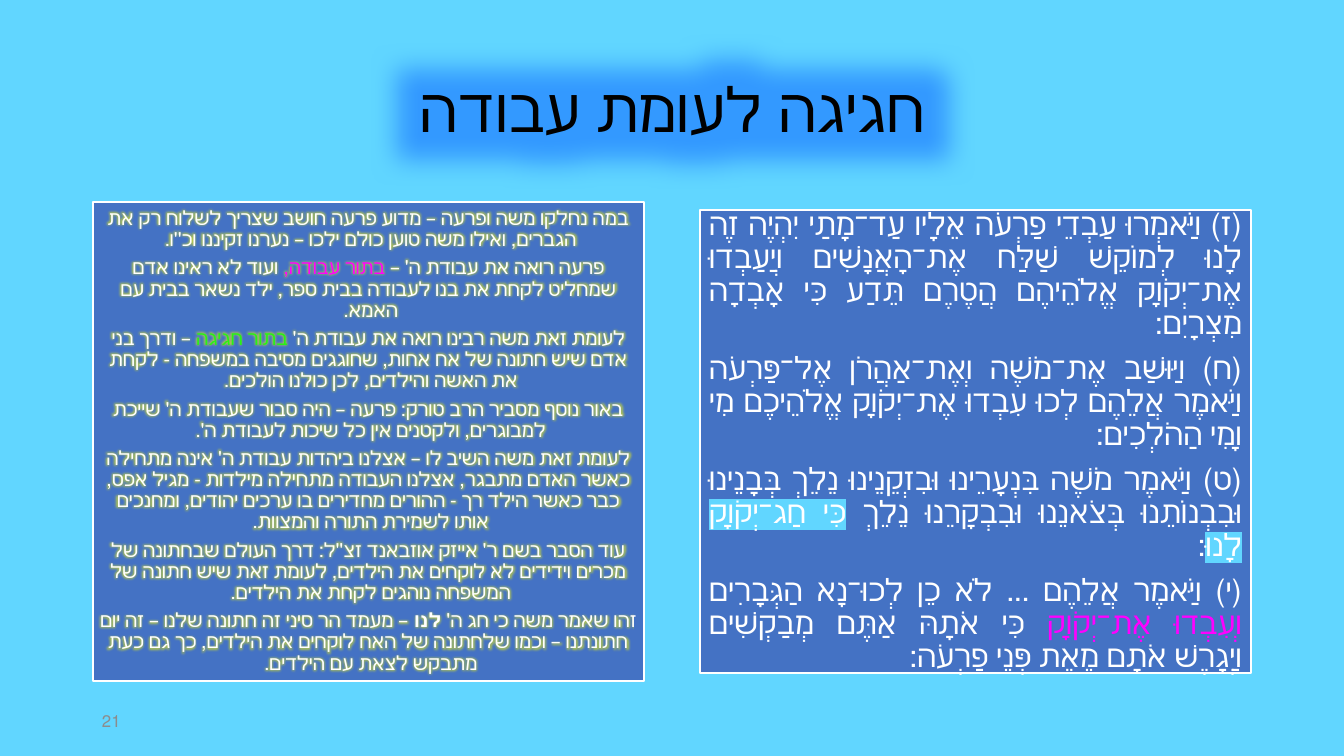
from lxml import etree
from pptx import Presentation
from pptx import util as u
from pptx.dml.color import RGBColor
from pptx.enum import shapes, text
from pptx.oxml.ns import qn

SCALE = 12192000 / 1344
SKY, BLUE, WHITE, PINK, GREEN = "61D6FF", "4472C4", "FFFFFF", "FF00FF", "26F216"
ALIGN = text.PP_ALIGN

TITLE = [["חגיגה לעומת עבודה"]]
NOTES = [
    ["במה נחלקו משה ופרעה – מדוע פרעה חושב שצריך לשלוח רק את הגברים, ואילו משה טוען כולם ילכו – נערנו זקיננו וכ''ו. "],
    ["פרעה רואה את עבודת ה' – ", ("בתור עבודה, ", {"color": PINK}),
     "ועוד לא ראינו אדם שמחליט לקחת את בנו לעבודה בבית ספר, ילד נשאר בבית עם האמא. "],
    ["לעומת זאת משה רבינו רואה את עבודת ה' ", ("בתור חגיגה ", {"color": GREEN}),
     "– ודרך בני אדם שיש חתונה של אח אחות, שחוגגים מסיבה במשפחה - לקחת את האשה והילדים, לכן כולנו הולכים. "],
    ["באור נוסף מסביר הרב טורק: פרעה – היה סבור שעבודת ה' שייכת למבוגרים, ולקטנים אין כל שיכות לעבודת ה'. "],
    ["לעומת זאת משה השיב לו – אצלנו ביהדות עבודת ה' אינה מתחילה כאשר האדם מתבגר, אצלנו העבודה מתחילה מילדות - "
     "מגיל אפס, כבר כאשר הילד רך - ההורים מחדירים בו ערכים יהודים, ומחנכים אותו לשמירת התורה והמצוות. "],
    ["עוד הסבר בשם ר' אייזק אוזבאנד זצ''ל: דרך העולם שבחתונה של מכרים וידידים לא לוקחים את הילדים, "
     "לעומת זאת שיש חתונה של המשפחה נוהגים לקחת את הילדים. "],
    ["זהו שאמר משה כי חג ה' ", ("לנו ", {"bold": True}),
     "– מעמד הר סיני זה חתונה שלנו – זה יום חתונתנו – וכמו שלחתונה של האח לוקחים את הילדים, "
     "כך גם כעת מתבקש לצאת עם הילדים. "],
]
VERSES = [
    ["(ז) וַיֹּאמְרוּ עַבְדֵי פַרְעֹה אֵלָיו עַד־מָתַי יִהְיֶה זֶה לָנוּ לְמוֹקֵשׁ שַׁלַּח אֶת־הָאֲנָשִׁים וְיַעַבְדוּ "
     "אֶת־יְקֹוָק אֱלֹהֵיהֶם הֲטֶרֶם תֵּדַע כִּי אָבְדָה מִצְרָיִם:"],
    ["(ח) וַיּוּשַׁב אֶת־מֹשֶׁה וְאֶת־אַהֲרֹן אֶל־פַּרְעֹה וַיֹּאמֶר אֲלֵהֶם לְכוּ עִבְדוּ אֶת־יְקֹוָק אֱלֹהֵיכֶם "
     "מִי וָמִי הַהֹלְכִים:"],
    ["(ט) וַיֹּאמֶר מֹשֶׁה בִּנְעָרֵינוּ וּבִזְקֵנֵינוּ נֵלֵךְ בְּבָנֵינוּ וּבִבְנוֹתֵנוּ בְּצֹאנֵנוּ וּבִבְקָרֵנוּ נֵלֵךְ ",
     ("כִּי חַג־יְקֹוָק לָנוּ", {"mark": SKY}), ":"],
    ["(י) וַיֹּאמֶר אֲלֵהֶם ... לֹא כֵן לְכוּ־נָא הַגְּבָרִים ", ("וְעִבְדוּ אֶת־יְקֹוָק ", {"color": PINK}),
     "כִּי אֹתָהּ אַתֶּם מְבַקְשִׁים וַיְגָרֶשׁ אֹתָם מֵאֵת פְּנֵי פַרְעֹה: "],
]


def px(n):
    return u.Emu(round(n * SCALE))


def rgb(code):
    return RGBColor.from_string(code)


def put(item, values):
    for name, value in values.items():
        setattr(item, name, value)


def tint(parent, code, alpha=100):
    color = etree.SubElement(parent, qn("a:srgbClr"), val=code)
    if alpha < 100:
        etree.SubElement(color, qn("a:alpha"), val=str(alpha * 1000))


def style(run, size, color, bold=False, mark=None, glow=None):
    put(run.font, {"size": u.Pt(size), "name": "Calibri", "bold": bold})
    run.font.color.rgb = rgb(color)
    props = run.font._element
    props.set("lang", "he-IL")
    latin = props.find(qn("a:latin"))
    # Glow and highlight come before the font name
    if glow:
        reach, code, alpha = glow
        effects = etree.Element(qn("a:effectLst"))
        tint(etree.SubElement(effects, qn("a:glow"), rad=str(px(reach))), code, alpha)
        latin.addprevious(effects)
    if mark:
        light = etree.Element(qn("a:highlight"))
        tint(light, mark)
        latin.addprevious(light)


def write(shape, paras, align, base, inset=(9, 5), after=0, lines=0.9):
    frame = shape.text_frame
    side, top = map(px, inset)
    put(frame, {"word_wrap": True, "vertical_anchor": text.MSO_ANCHOR.MIDDLE,
                "margin_left": side, "margin_right": side,
                "margin_top": top, "margin_bottom": top})
    for i, parts in enumerate(paras):
        para = frame.add_paragraph() if i else frame.paragraphs[0]
        put(para, {"alignment": align, "line_spacing": lines, "space_after": u.Pt(after)})
        para._p.get_or_add_pPr().set("rtl", "1")
        for part in parts:
            words, extra = (part, {}) if isinstance(part, str) else part
            run = para.add_run()
            run.text = words
            style(run, **{**base, **extra})


def label(slide, box, paras, align, base, **form):
    write(slide.shapes.add_textbox(*map(px, box)), paras, align, base, **form)


def panel(slide, box, paras, align, base, **form):
    card = slide.shapes.add_shape(shapes.MSO_SHAPE.RECTANGLE, *map(px, box))
    card.shadow.inherit = False
    card.fill.solid()
    card.fill.fore_color.rgb = rgb(BLUE)
    card.line.color.rgb = rgb(WHITE)
    card.line.width = u.Pt(1)
    # The text lies over the card in a box of its own
    label(slide, box, paras, align, base, **form)


def main():
    deck = Presentation()
    put(deck, {"slide_width": px(1344), "slide_height": px(756)})
    slide = deck.slides.add_slide(deck.slide_layouts[6])
    slide.background.fill.solid()
    slide.background.fill.fore_color.rgb = rgb(SKY)

    # Title
    label(slide, (93, 40, 1159, 146), TITLE, ALIGN.CENTER,
          {"size": 44, "color": "000000", "glow": (120, "3399FF", 100)})
    # Commentary on the left, verses on the right
    panel(slide, (93, 202, 551, 479), NOTES, ALIGN.CENTER,
          {"size": 14, "color": WHITE, "glow": (7, "FFFF00", 60)}, inset=(6, 6), after=5)
    panel(slide, (700, 210, 551, 463), VERSES, ALIGN.JUSTIFY,
          {"size": 22, "color": WHITE}, inset=(9, 9), after=8)
    # Page number
    label(slide, (93, 701, 302, 40), [["21"]], ALIGN.LEFT,
          {"size": 12, "color": "8C8C8C"}, lines=1.0)
    deck.save("out.pptx")


if __name__ == "__main__":
    main()
